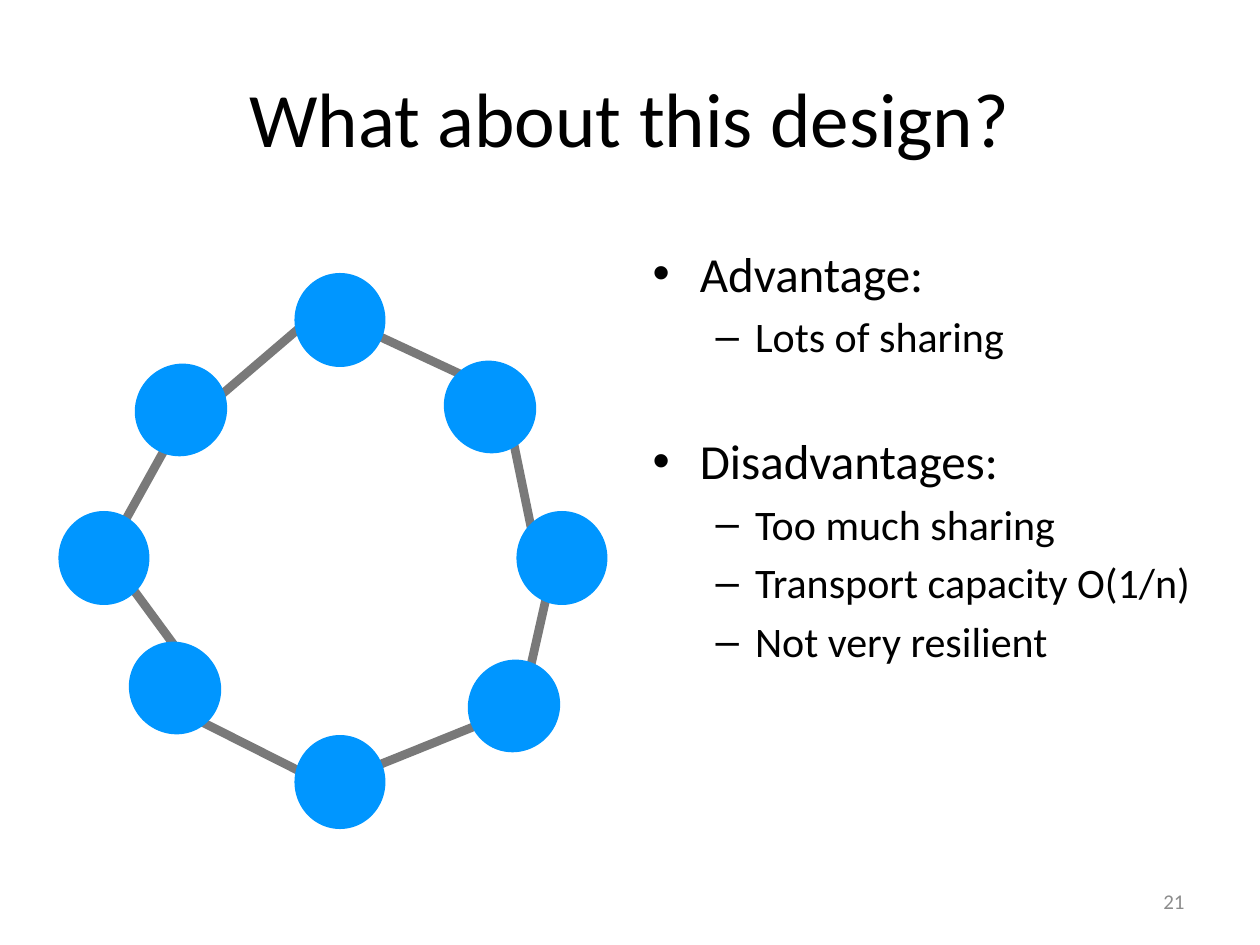
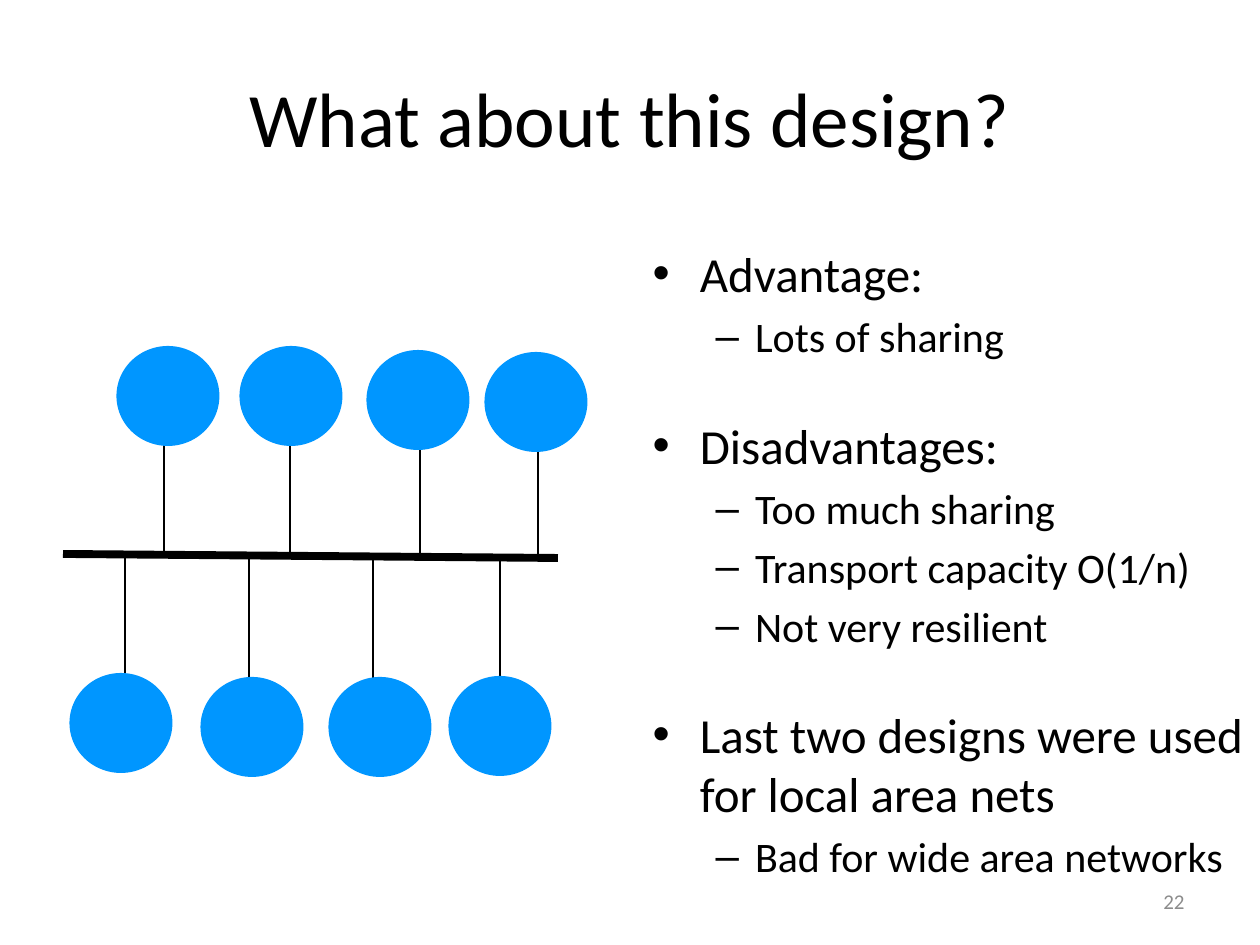
from lxml.etree import SubElement
from pptx import Presentation
from pptx.dml.color import RGBColor
from pptx.enum.shapes import MSO_CONNECTOR as CONN, MSO_SHAPE as SHAPE
from pptx.enum.text import MSO_ANCHOR as ANCHOR, MSO_AUTO_SIZE as FIT, PP_ALIGN as ALIGN
from pptx.oxml.ns import qn
from pptx.util import Pt

# Shared look
PX = 914400 / 126
BLUE, GREY, BLACK, PALE = "0096FF", "797979", "000000", "8C8C8C"
TITLE = "What about this design?"
TITLE_FONT = {"name": "Calibri", "size": Pt(44)}
LEVEL_FONTS = [{"name": "Calibri", "size": Pt(28)}, {"name": "Calibri", "size": Pt(24)}]
NUMBER_FONT = {"name": "Calibri", "size": Pt(12)}

# List entries: level, text
PROS_AND_CONS = [
    (0, "Advantage:"),
    (1, "Lots of sharing"),
    (0, "Disadvantages:"),
    (1, "Too much sharing"),
    (1, "Transport capacity O(1/n)"),
    (1, "Not very resilient"),
]
LAN_REMARK = [
    (0, "Last two designs were used for local area nets"),
    (1, "Bad for wide area networks"),
]

# Ring: node centre and rotation, then link ends
RING_NODE_SIZE = (91, 94)
RING_NODES = [
    (340, 320, 0), (490, 407, 138), (562, 558, 0), (514, 706, 42),
    (340, 782, 0), (175, 688, 138), (104, 558, 0), (181, 410, 42),
]
RING_LINKS = [
    (344, 320, 488, 387), (504, 396, 538, 561), (552, 572, 524, 696), (488, 721, 344, 779),
    (315, 779, 200, 721), (188, 664, 105, 551), (105, 557, 186, 411), (220, 396, 310, 319),
]

# Bus: cable ends, then node centre and the x of its drop line
BUS_NODE_SIZE = (103, 100)
BUS_CABLE = (63, 554, 558, 558)
BUS_Y = 556
BUS_NODES = [
    (168, 396, 164), (291, 396, 290), (418, 400, 420), (536, 402, 538),
    (121, 723, 125), (252, 727, 249), (380, 727, 373), (500, 726, 500),
]


def px(*lengths):
    return [round(n * PX) for n in lengths]


def rgb(color):
    return RGBColor.from_string(color)


def set_font(font, fmt, color=BLACK):
    for name, value in fmt.items():
        setattr(font, name, value)
    font.color.rgb = rgb(color)


def place(sp, *box):
    for name, value in zip(("left", "top", "width", "height"), px(*box)):
        setattr(sp, name, value)


def add_title(slide):
    sp = slide.shapes.title
    place(sp, 63, 38, 1134, 157)
    tf = sp.text_frame
    tf.auto_size = FIT.NONE
    tf.vertical_anchor = ANCHOR.MIDDLE
    p = tf.paragraphs[0]
    p.alignment = ALIGN.CENTER
    r = p.add_run()
    r.text = TITLE
    set_font(r.font, TITLE_FONT)


def add_list(slide, items, width, gap):
    """Fill the body; every heading after the first stands off by gap points."""
    sp = slide.placeholders[1]
    place(sp, 640, 237, width, 610)
    tf = sp.text_frame
    tf.auto_size = FIT.NONE
    for i, (level, text) in enumerate(items):
        p = tf.add_paragraph() if i else tf.paragraphs[0]
        p.level = level
        if i and level == 0:
            p.space_before = Pt(gap)
        r = p.add_run()
        r.text = text
        set_font(r.font, LEVEL_FONTS[level])


def add_number(slide, number):
    tf = slide.shapes.add_textbox(*px(903, 876, 294, 50)).text_frame
    tf.word_wrap = True
    tf.vertical_anchor = ANCHOR.MIDDLE
    p = tf.paragraphs[0]
    p.alignment = ALIGN.RIGHT
    r = p.add_run()
    r.text = str(number)
    set_font(r.font, NUMBER_FONT, PALE)


def add_link(slide, ends, color, weight):
    line = slide.shapes.add_connector(CONN.STRAIGHT, *px(*ends))
    line.line.color.rgb = rgb(color)
    line.line.width = Pt(weight)
    SubElement(line._element.spPr, qn("a:effectLst"))


def add_node(slide, cx, cy, size, rotation=0):
    w, h = size
    sp = slide.shapes.add_shape(SHAPE.OVAL, *px(cx - w / 2, cy - h / 2, w, h))
    sp.rotation = rotation
    sp.shadow.inherit = False
    sp.fill.solid()
    sp.fill.fore_color.rgb = rgb(BLUE)
    sp.line.fill.background()


def add_design_slide(prs, number, items, width, gap):
    slide = prs.slides.add_slide(prs.slide_layouts[1])
    add_title(slide)
    add_list(slide, items, width, gap)
    add_number(slide, number)
    return slide


def draw_ring(slide):
    for ends in RING_LINKS:
        add_link(slide, ends, GREY, 5)
    for cx, cy, rotation in RING_NODES:
        add_node(slide, cx, cy, RING_NODE_SIZE, rotation)


def draw_bus(slide):
    add_link(slide, BUS_CABLE, BLACK, 4.5)
    for cx, cy, drop_x in BUS_NODES:
        add_link(slide, (drop_x, BUS_Y, drop_x, cy), BLACK, 0.75)
        add_node(slide, cx, cy, BUS_NODE_SIZE)


def main():
    prs = Presentation()
    prs.slide_width, prs.slide_height = px(1260, 945)
    draw_ring(add_design_slide(prs, 21, PROS_AND_CONS, 598, 40))
    draw_bus(add_design_slide(prs, 22, PROS_AND_CONS + LAN_REMARK, 640, 31))
    prs.save("out.pptx")


if __name__ == "__main__":
    main()
